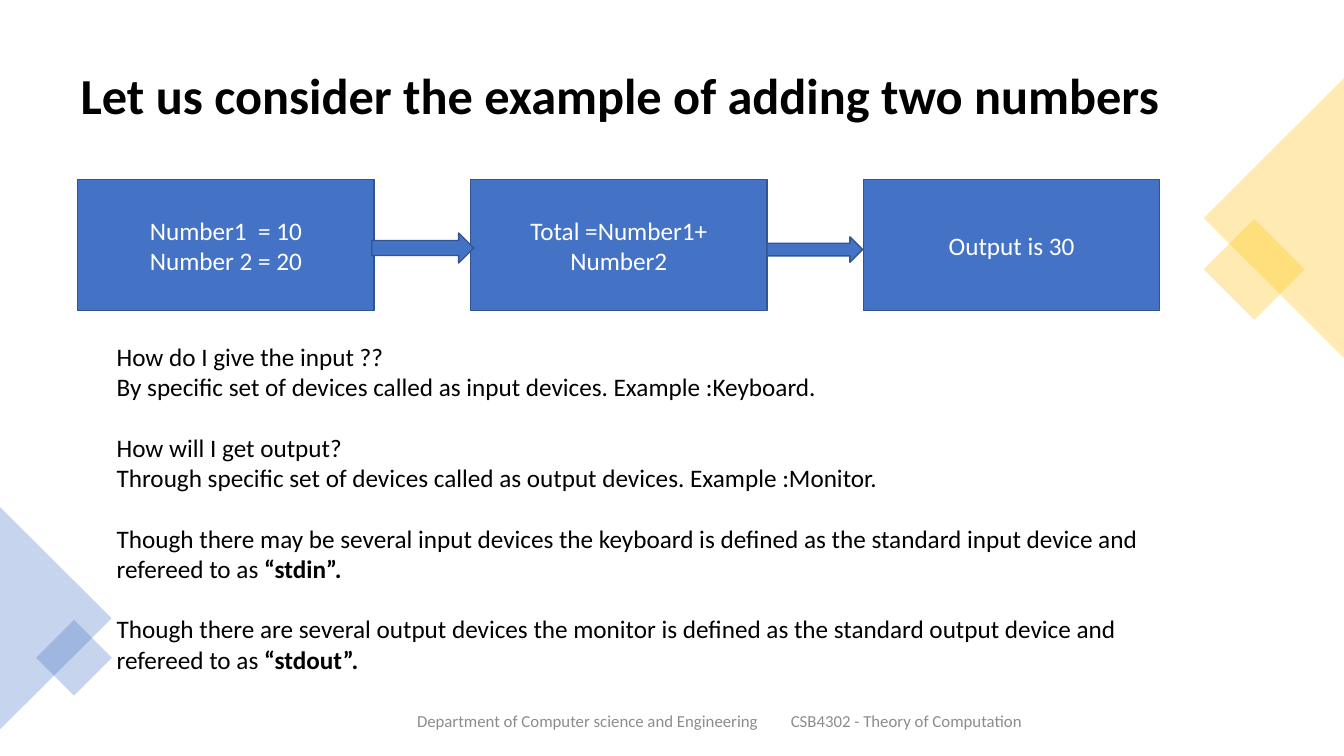
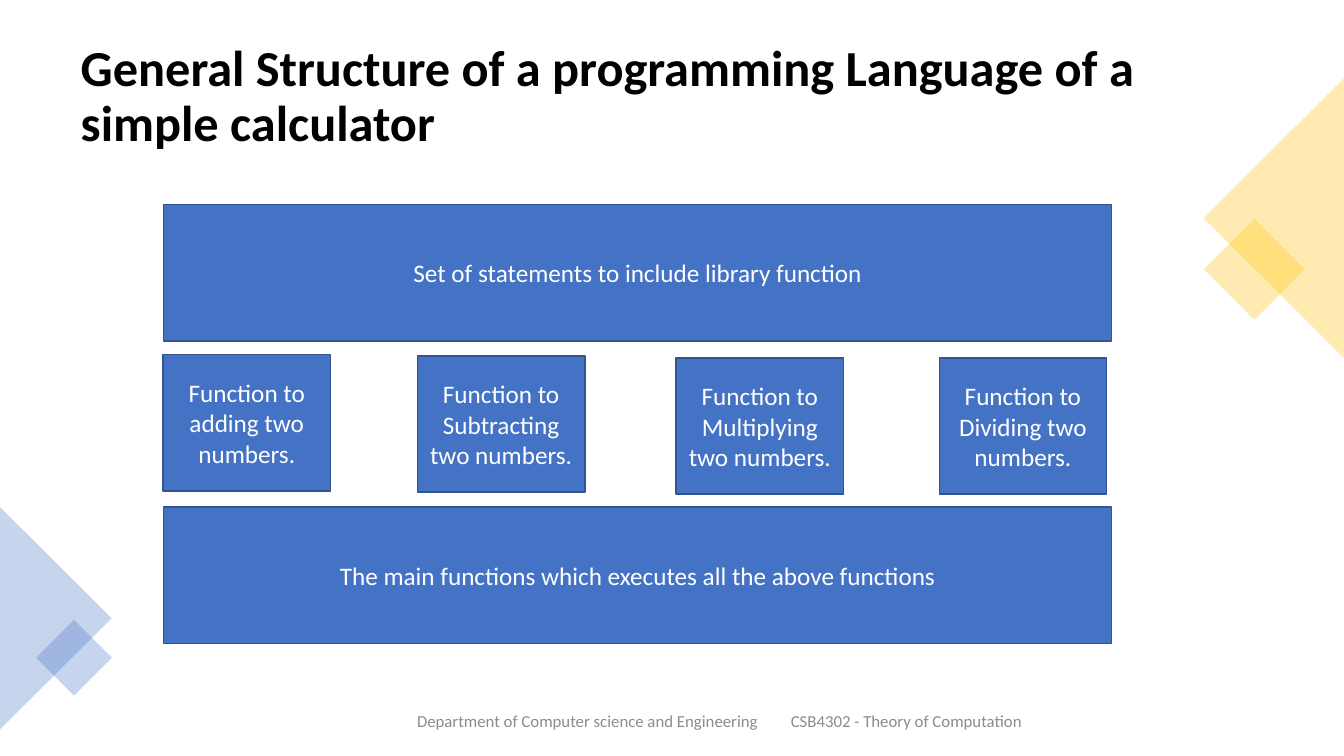
"""Build two slides on input, output and program structure."""
from pptx import Presentation
from pptx.dml.color import RGBColor
from pptx.enum.shapes import MSO_SHAPE
from pptx.enum.text import MSO_ANCHOR, MSO_AUTO_SIZE, PP_ALIGN
from pptx.oxml.ns import qn
from pptx.oxml.xmlchemy import OxmlElement
from pptx.util import Cm, Pt

BLUE = RGBColor(0x44, 0x72, 0xC4)
NAVY = RGBColor(0x32, 0x54, 0x91)
GOLD = RGBColor(0xFF, 0xC0, 0x00)
GREY = RGBColor(0x8C, 0x8C, 0x8C)
BLACK = RGBColor(0, 0, 0)
WHITE = RGBColor(0xFF, 0xFF, 0xFF)
FONT = "Calibri"


def style(frame, size, color, align=PP_ALIGN.LEFT, bold=None):
    """Format every run of a text frame."""
    frame.word_wrap = True
    for para in frame.paragraphs:
        para.alignment = align
        for run in para.runs:
            run.font.name = FONT
            run.font.size = Pt(size)
            run.font.color.rgb = color
            if bold is not None:
                run.font.bold = bold


def draw(slide, kind, place, fill=BLUE, text=""):
    """Add a filled shape with centred white text."""
    shape = slide.shapes.add_shape(kind, *map(Cm, place))
    shape.shadow.inherit = False
    shape.fill.solid()
    shape.fill.fore_color.rgb = fill
    shape.line.color.rgb = NAVY
    shape.line.width = Pt(1)
    if text:
        shape.text_frame.text = text
        shape.text_frame.vertical_anchor = MSO_ANCHOR.MIDDLE
        style(shape.text_frame, 18, WHITE, PP_ALIGN.CENTER)
    return shape


deck = Presentation()
deck.slide_width = Cm(33.87)
deck.slide_height = Cm(19.05)

titles = [
    "Let us consider the example of adding two numbers",
    "General Structure of a programming Language of a simple calculator",
]
decor = [
    (MSO_SHAPE.RECTANGLE, (30.71, 5.89, 1.8, 1.8), 45, GOLD),
    (MSO_SHAPE.ISOSCELES_TRIANGLE, (28.58, 3.73, 7.04, 3.53), 270, GOLD),
    (MSO_SHAPE.ISOSCELES_TRIANGLE, (-1.4, 14.17, 5.61, 2.82), 90, BLUE),
    (MSO_SHAPE.RECTANGLE, (1.19, 15.9, 1.35, 1.35), 45, BLUE),
]

for words in titles:
    slide = deck.slides.add_slide(deck.slide_layouts[5])
    title = slide.shapes.title
    title.left, title.top = Cm(1.78), Cm(0.89)
    title.width, title.height = Cm(30.3), Cm(3.15)
    frame = title.text_frame
    frame.text = words
    frame.auto_size = MSO_AUTO_SIZE.NONE
    frame.vertical_anchor = MSO_ANCHOR.MIDDLE
    frame.paragraphs[0].line_spacing = 0.9
    style(frame, 36, BLACK, bold=True)

    for kind, place, turn, color in decor:
        shape = draw(slide, kind, place, color)
        shape.rotation = turn
        shape.line.fill.background()
        alpha = OxmlElement("a:alpha")
        alpha.set("val", "30000")
        shape.element.spPr.find(qn("a:solidFill"))[0].append(alpha)

    foot = slide.shapes.add_textbox(Cm(10.26), Cm(17.65), Cm(17), Cm(1.02))
    frame = foot.text_frame
    frame.text = "Department of Computer science and Engineering\tCSB4302 - Theory of Computation"
    frame.vertical_anchor = MSO_ANCHOR.MIDDLE
    tabs = OxmlElement("a:tabLst")
    tab = OxmlElement("a:tab")
    tab.set("pos", str(Cm(9.42)))
    tab.set("algn", "l")
    tabs.append(tab)
    frame.paragraphs[0]._p.get_or_add_pPr().append(tabs)
    frame.paragraphs[0].space_after = Pt(6)
    style(frame, 12, GREY)

flow, plan = deck.slides

steps = ["Number1  = 10\nNumber 2 = 20", "Total =Number1+\nNumber2", "Output is 30"]
for i, step in enumerate(steps):
    draw(flow, MSO_SHAPE.RECTANGLE, (1.96 + 9.9 * i, 4.53, 7.47, 3.3), text=step)
for place in [(9.37, 5.87, 2.57, 0.76), (19.33, 5.97, 2.41, 0.64)]:
    draw(flow, MSO_SHAPE.RIGHT_ARROW, place)

notes = [
    ("How do I give the input ??", "", False),
    ("By specific set of devices called as input devices. Example :Keyboard.", "", False),
    ("How will I get output?", "", True),
    ("Through specific set of devices called as output devices. Example :Monitor.", "", False),
    ("Though there may be several input devices the keyboard is defined as "
     "the standard input device and refereed to as ", "“stdin”.", True),
    ("Though there are several output devices the monitor is defined as "
     "the standard output device and refereed to as ", "“stdout”.", True),
]
frame = flow.shapes.add_textbox(Cm(2.69), Cm(8.48), Cm(27.08), Cm(8.71)).text_frame
frame.text = "\n".join(note[0] for note in notes)
for para, (_, term, gap) in zip(frame.paragraphs, notes):
    if gap:
        para.space_before = Pt(21.6)
    if term:
        run = para.add_run()
        run.text = term
        run.font.bold = True
style(frame, 18, BLACK)

bars = [
    (5.16, "Set of statements to include library function"),
    (12.78, "The main functions which executes all the above functions"),
]
for top, text in bars:
    draw(plan, MSO_SHAPE.RECTANGLE, (4.12, top, 23.9, 3.43), text=text)

tasks = [
    (4.11, 8.94, "adding"),
    (10.52, 8.97, "Subtracting"),
    (17.04, 9.02, "Multiplying"),
    (23.67, 9.02, "Dividing"),
]
for left, top, task in tasks:
    draw(plan, MSO_SHAPE.RECTANGLE, (left, top, 4.22, 3.43),
         text=f"Function to {task} two numbers.")

deck.save("out.pptx")
